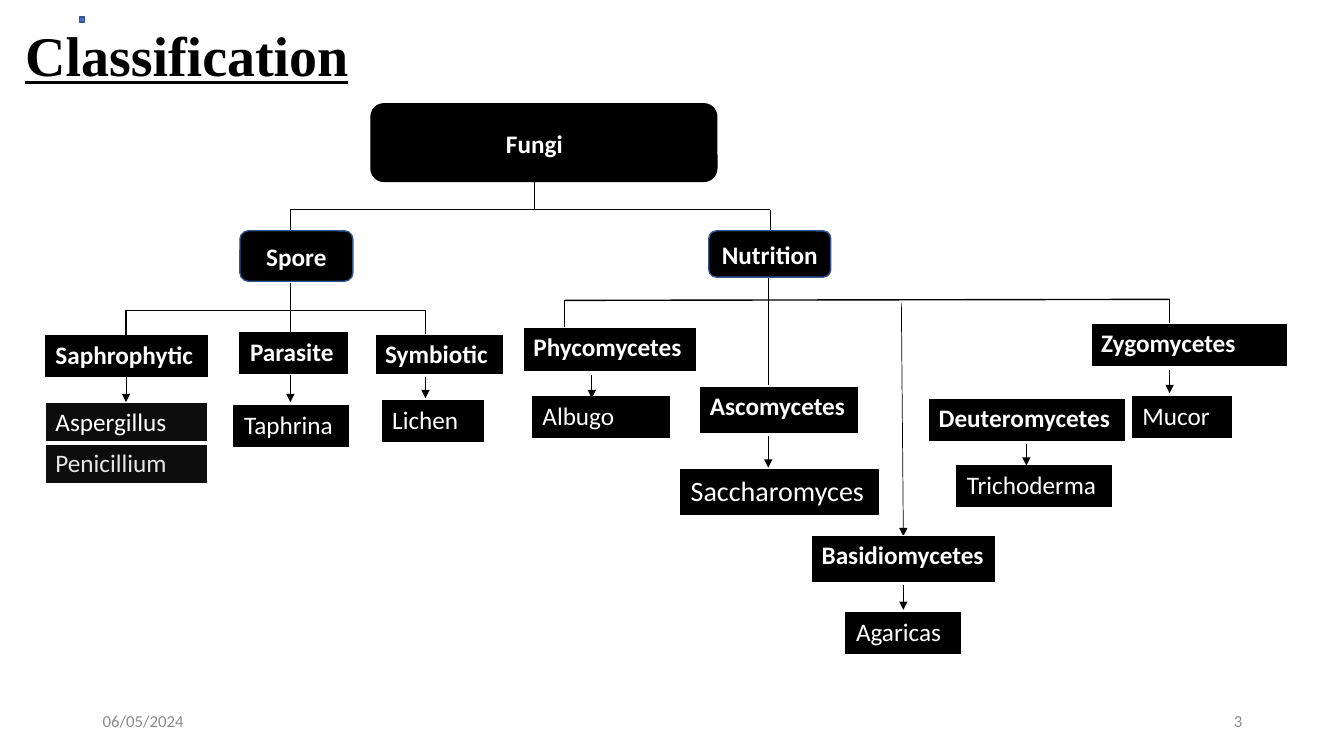
from dataclasses import dataclass

from lxml import etree
from pptx import Presentation
from pptx.dml.color import RGBColor
from pptx.enum.shapes import MSO_CONNECTOR, MSO_SHAPE
from pptx.enum.text import MSO_ANCHOR, MSO_AUTO_SIZE, PP_ALIGN
from pptx.oxml.ns import qn
from pptx.util import Inches, Pt

STRAIGHT = MSO_CONNECTOR.STRAIGHT
RECTANGLE, ROUNDED = MSO_SHAPE.RECTANGLE, MSO_SHAPE.ROUNDED_RECTANGLE
TOP, MIDDLE = MSO_ANCHOR.TOP, MSO_ANCHOR.MIDDLE
LEFT, CENTER, RIGHT = PP_ALIGN.LEFT, PP_ALIGN.CENTER, PP_ALIGN.RIGHT


@dataclass(frozen=True)
class Theme:
    black: str = "000000"
    charcoal: str = "0D0D0D"
    white: str = "FFFFFF"
    pale: str = "E7E6E6"
    gray: str = "8C8C8C"
    blue: str = "4472C4"
    navy: str = "325491"
    body_font: str = "Calibri"
    title_font: str = "Times New Roman"
    title_size: int = 40
    large_size: int = 20
    body_size: int = 18
    footer_size: int = 12


theme = Theme()
GRID = Inches(0.1)


def on_grid(*cells):
    return [round(cell * GRID) for cell in cells]


def write(frame, text, size, color, bold=False, align=LEFT, font=theme.body_font):
    frame.text = text
    para = frame.paragraphs[0]
    para.alignment = align
    span = para.runs[0]
    span.font.name = font
    span.font.size = Pt(size)
    span.font.bold = bold
    span.font.color.rgb = RGBColor.from_string(color)
    return span


deck = Presentation()
deck.slide_width, deck.slide_height = Inches(13.33), Inches(7.5)
page = deck.slides.add_slide(deck.slide_layouts[5])

title = page.shapes.title
title.left, title.top, title.width, title.height = on_grid(1.5, 1.5, 130.3, 7.5)
heading = write(title.text_frame, "Classification", theme.title_size, theme.black,
                bold=True, font=theme.title_font)
heading.font.underline = True
title.text_frame.vertical_anchor = TOP
title.text_frame.auto_size = MSO_AUTO_SIZE.NONE

trunk, spore, nutrition = 53, 28.8, 76.2
saphrophytic, symbiotic, phycomycetes, zygomycetes = 12.5, 42.2, 56, 116
rail, spore_rail, nutrition_rail = 20.8, 30.8, 29.8

branches = [
    (trunk, 18, trunk, rail),
    (spore, rail, 76.4, rail),
    (spore, rail, spore, 23),
    (76.4, rail, 76.4, 22.9),
    (spore, 28.1, spore, 33),
    (saphrophytic, spore_rail, symbiotic, spore_rail),
    (saphrophytic, spore_rail, saphrophytic, 33.6),
    (symbiotic, spore_rail, symbiotic, 33.6),
    (nutrition, 27.5, nutrition, 38.2),
    (phycomycetes, nutrition_rail, zygomycetes, 29.7),
    (phycomycetes, nutrition_rail, phycomycetes, 32.7),
    (zygomycetes, 29.7, zygomycetes, 32.1),
]
arrows = [
    (saphrophytic, 37.2, saphrophytic, 39.9),
    (spore, 37.2, spore, 39.9),
    (symbiotic, 36.8, symbiotic, 39.5),
    (58.7, 36.8, 58.7, 39.5),
    (nutrition, 43.3, nutrition, 46.4),
    (89.4, 30.1, 89.6, 53.2),
    (89.6, 57.9, 89.6, 60.5),
    (101.8, 43.5, 101.8, 46.2),
    (zygomycetes, 36.4, zygomycetes, 39),
]
for lines, weight, pointed in ((branches, 1, False), (arrows, 0.5, True)):
    for ends in lines:
        connector = page.shapes.add_connector(STRAIGHT, *on_grid(*ends))
        connector.line.color.rgb = RGBColor.from_string(theme.black)
        connector.line.width = Pt(weight)
        if pointed:
            outline = connector.line._get_or_add_ln()
            etree.SubElement(outline, qn("a:tailEnd"), type="triangle")
        etree.SubElement(connector._element.spPr, qn("a:effectLst"))

boxes = [
    ("", ROUNDED, (36.8, 10.3, 34.3, 7.7), theme.black, theme.black),
    ("Fungi", RECTANGLE, (38.1, 11.1, 29.8, 6.3), theme.black, theme.black),
    ("Spore", ROUNDED, (23.8, 22.9, 11.2, 5), theme.black, theme.navy),
    ("Nutrition", ROUNDED, (70.3, 22.9, 12.1, 4.6), theme.black, theme.navy),
    ("", RECTANGLE, (7.9, 1.7, 0.5, 0.5), theme.blue, theme.navy),
]
for label, outline_kind, place, fill, edge in boxes:
    box = page.shapes.add_shape(outline_kind, *on_grid(*place))
    box.shadow.inherit = False
    box.fill.solid()
    box.fill.fore_color.rgb = RGBColor.from_string(fill)
    box.line.color.rgb = RGBColor.from_string(edge)
    box.line.width = Pt(1)
    if label:
        write(box.text_frame, label, theme.body_size, theme.white, bold=True, align=CENTER)
        box.text_frame.vertical_anchor = MIDDLE

black_edges = (theme.black, 1)
white_edges = (theme.white, 3)
groups = [
    ("Saphrophytic", (4.5, 33.3, 16.1, 4), black_edges),
    ("Parasite", (23.8, 33, 10.7, 4), black_edges),
    ("Symbiotic", (37.2, 33.2, 12.7, 4), white_edges),
    ("Phycomycetes", (51.9, 32.5, 17.2, 4.5), white_edges),
    ("Ascomycetes", (69.4, 38.3, 15.8, 4.8), white_edges),
    ("Basidiomycetes", (80.5, 53.1, 18.2, 4.8), white_edges),
    ("Deuteromycetes", (92.1, 39.5, 19.5, 4.4), white_edges),
    ("Zygomycetes", (108.2, 32.1, 19.5, 4.4), white_edges),
]
examples = [
    ("Aspergillus\nPenicillium", (4.5, 39.9, 16.1, 8), white_edges),
    ("Taphrina", (23.2, 40.2, 11.4, 4), black_edges),
    ("Lichen", (37.9, 39.7, 10, 4), black_edges),
    ("Albugo", (52.8, 39.3, 13.6, 4), black_edges),
    ("Saccharomyces", (67.5, 46.6, 19.6, 4.3), black_edges),
    ("Agaricas", (83.9, 60.8, 11.4, 4), black_edges),
    ("Trichoderma", (94.9, 46.2, 15.3, 4), black_edges),
    ("Mucor", (112.3, 39.3, 9.8, 4), black_edges),
]
for entries, bold in ((groups, True), (examples, False)):
    for label, place, (edge, bottom_weight) in entries:
        names = label.split("\n")
        table = page.shapes.add_table(len(names), 1, *on_grid(*place)).table
        size = theme.large_size if label == "Saccharomyces" else theme.body_size
        fill = theme.charcoal if len(names) > 1 else theme.black
        for row, name in enumerate(names):
            cell = table.cell(row, 0)
            color = theme.pale if row else theme.white
            write(cell.text_frame, name, size, color, bold)
            properties = cell._tc.get_or_add_tcPr()
            for side in ("lnL", "lnR", "lnT", "lnB"):
                weight = bottom_weight if side == "lnB" and row == 0 else 1
                border = etree.SubElement(properties, qn(f"a:{side}"), w=str(Pt(weight)))
                paint = etree.SubElement(border, qn("a:solidFill"))
                etree.SubElement(paint, qn("a:srgbClr"), val=edge)
            cell.fill.solid()
            cell.fill.fore_color.rgb = RGBColor.from_string(fill)

for text, left, align in (("06/05/2024", 9.2, LEFT), ("3", 94.2, RIGHT)):
    footer = page.shapes.add_textbox(*on_grid(left, 69.5, 30, 4))
    footer.text_frame.word_wrap = True
    footer.text_frame.vertical_anchor = MIDDLE
    write(footer.text_frame, text, theme.footer_size, theme.gray, align=align)

deck.save("out.pptx")
